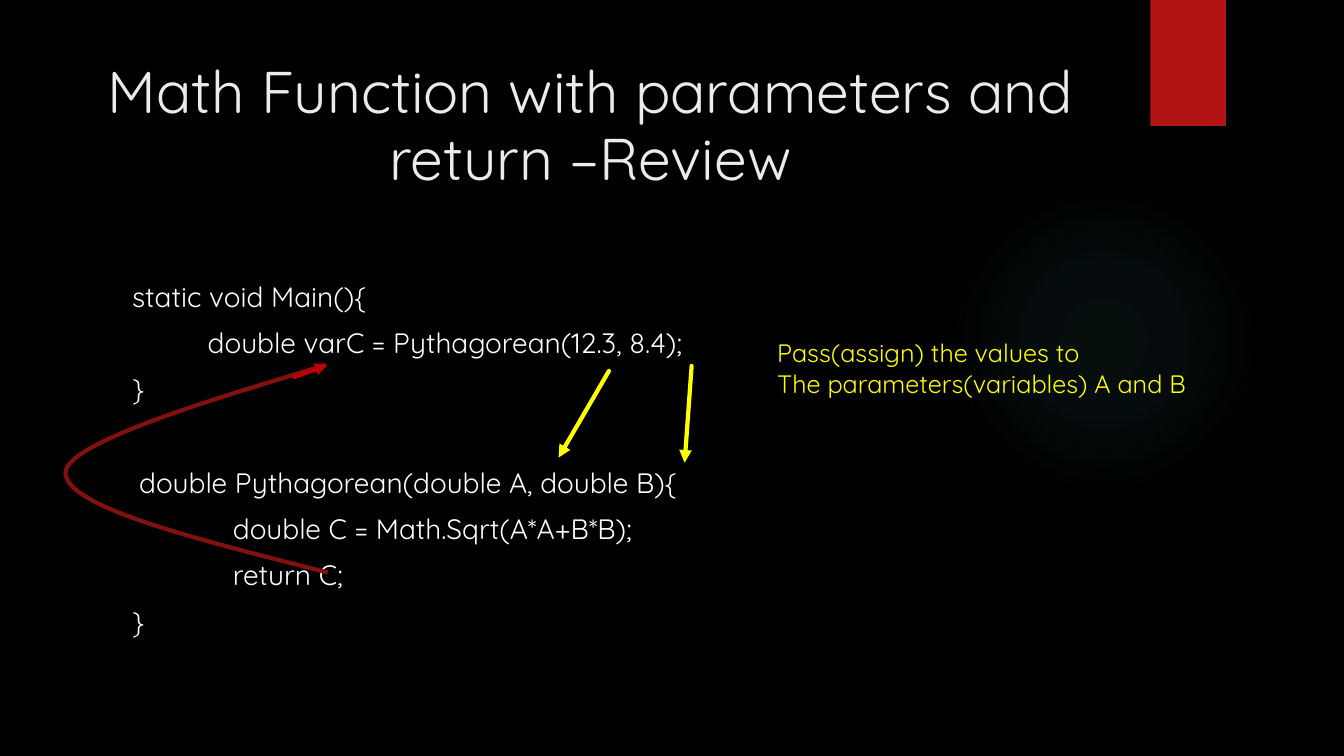
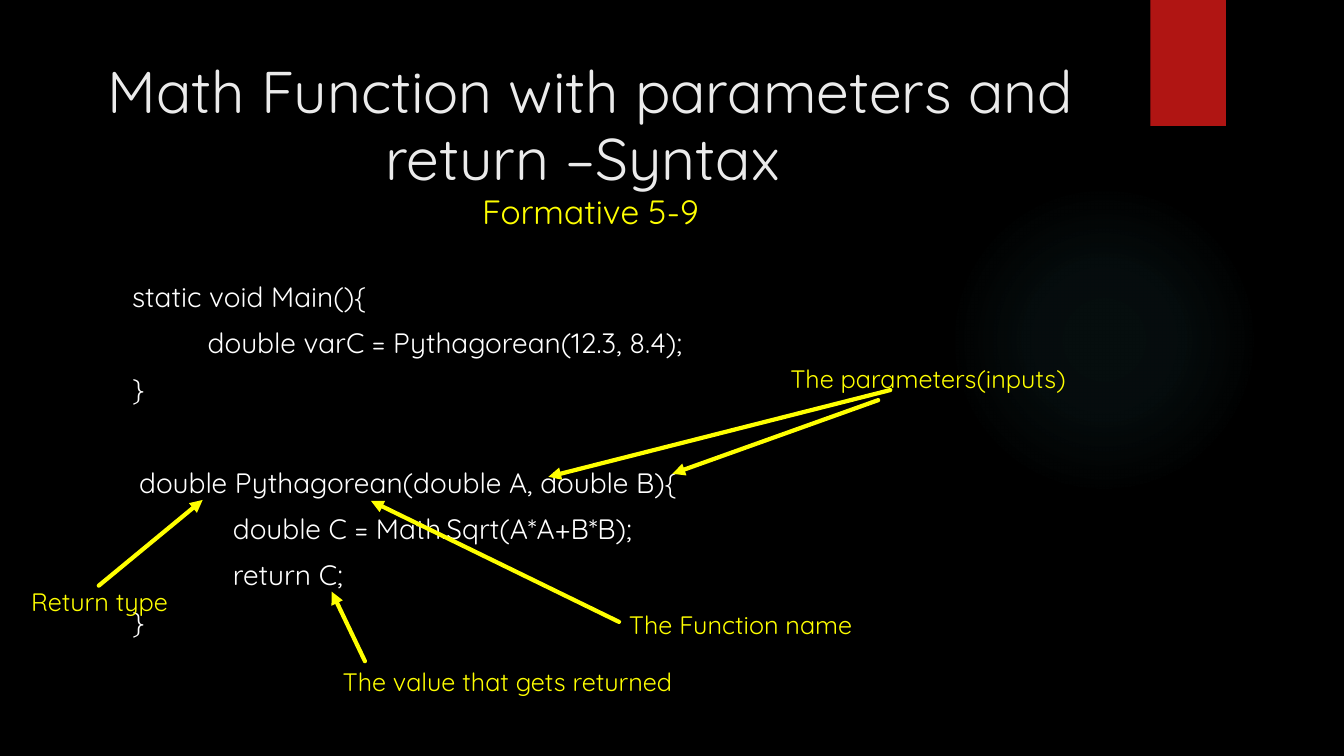
from lxml import etree
from pptx import Presentation
from pptx.dml.color import RGBColor
from pptx.enum.shapes import MSO_CONNECTOR, MSO_SHAPE
from pptx.enum.text import MSO_ANCHOR, MSO_AUTO_SIZE, PP_ALIGN
from pptx.oxml import parse_xml
from pptx.oxml.ns import nsdecls, qn
from pptx.util import Inches, Pt

COLORS = {"back": "000000", "band": "B01513", "glow": "50B9C1", "title": "EBEBEB",
          "code": "FFFFFF", "note": "FFFF00", "curve": "82100E", "tip": "C00000"}
FONT = "Quicksand"
LINE_WIDTH = 3

# Shared code listing: (text, left indent in inches, blank lines before)
CODE = [
    ("static void Main(){", 0, 0),
    ("double varC = Pythagorean(12.3, 8.4);", 0.75, 0),
    ("}", 0, 0),
    ("double Pythagorean(double A, double B){", 0.07, 1),
    ("double C = Math.Sqrt(A*A+B*B);", 1, 0),
    ("return C;", 1, 0),
    ("}", 0, 0),
]
CODE_GAP, CODE_PITCH = 9, 34

# Content: title lines (text, size, color), notes (left, top, width, lines),
# arrows (start, end, color) and curves (start point, then Bezier segments)
SLIDES = [
    {
        "title": [("Math Function with parameters and return –Review", 42, "title")],
        "notes": [(7.61, 3.3, 4.8, ["Pass(assign) the values to",
                                    "The parameters(variables) A and B"])],
        "curves": [((3.25, 5.68), [((1.95, 5.35), (0.65, 5.03), (0.65, 4.69)),
                                   ((0.64, 4.35), (2.72, 3.79), (3.23, 3.62))])],
        "arrows": [((6.04, 3.68), (5.54, 4.54), "note"),
                   ((6.86, 3.63), (6.79, 4.59), "note"),
                   ((2.92, 3.74), (3.25, 3.62), "tip")],
    },
    {
        "title": [("Math Function with parameters and return –Syntax ", 42, "title"),
                  ("Formative 5-9", 24, "note")],
        "notes": [(7.74, 3.55, 3.4, ["The parameters(inputs)"]),
                  (0.21, 5.77, 1.81, ["Return type"]),
                  (6.14, 6, 3, ["The Function name"]),
                  (3.3, 6.56, 4, ["The value that gets returned"])],
        "curves": [],
        "arrows": [((8.83, 3.87), (5.44, 4.73), "note"),
                   ((8.71, 3.97), (6.67, 4.7), "note"),
                   ((0.98, 5.81), (2.01, 4.96), "note"),
                   ((6.14, 6.17), (3.68, 4.97), "note"),
                   ((3.62, 6.56), (3.29, 5.87), "note")],
    },
]


def color(name):
    return RGBColor.from_string(COLORS[name])


def apply(target, **values):
    for name, value in values.items():
        setattr(target, name, value)


def place(box, left, top, width, height):
    apply(box, left=Inches(left), top=Inches(top),
          width=Inches(width), height=Inches(height))


def add_span(para, text, size, shade):
    span = para.add_run()
    span.text = text
    apply(span.font, name=FONT, size=Pt(size))
    span.font.color.rgb = color(shade)


def prepare_frame(box):
    frame = box.text_frame
    apply(frame, word_wrap=True, auto_size=MSO_AUTO_SIZE.NONE,
          vertical_anchor=MSO_ANCHOR.TOP)
    return frame


def next_para(frame, index):
    return frame.add_paragraph() if index else frame.paragraphs[0]


def style_line(line, shade):
    line.color.rgb = color(shade)
    line.width = Pt(LINE_WIDTH)


# Shared layout: background, placeholder positions
def prepare_layout(deck):
    layout = deck.slide_layouts[1]
    fill = deck.slide_master.background.fill
    fill.solid()
    fill.fore_color.rgb = color("back")
    for box in list(layout.placeholders):
        index = box.placeholder_format.idx
        if index == 0:
            place(box, 0.71, 0.54, 10.29, 1.53)
        elif index == 1:
            place(box, 1.21, 2.72, 9.78, 4.12)
        else:
            box.element.getparent().remove(box.element)
    return layout


# Glow and red band, made on a page and then moved into its layout
def decorate_layout(layout, page):
    shapes = []
    for preset, area in [(MSO_SHAPE.OVAL, (9.41, 1.83, 3.08, 3.08)),
                         (MSO_SHAPE.RECTANGLE, (11.41, 0, 0.75, 1.25))]:
        shape = page.shapes.add_shape(preset, *map(Inches, area))
        shape.shadow.inherit = False
        shape.line.fill.background()
        shapes.append(shape)
    glow, band = shapes
    band.fill.solid()
    band.fill.fore_color.rgb = color("band")

    stops = "".join(
        f'<a:gs pos="{share * 1000}"><a:srgbClr val="{COLORS["glow"]}">'
        f'<a:alpha val="{alpha * 1000}"/></a:srgbClr></a:gs>'
        for share, alpha in [(0, 7), (36, 6), (69, 0), (100, 0)])
    gradient = parse_xml(
        f'<a:gradFill {nsdecls("a")}><a:gsLst>{stops}</a:gsLst><a:path path="circle">'
        '<a:fillToRect l="50000" t="50000" r="50000" b="50000"/></a:path></a:gradFill>')
    glow.fill.background()
    properties = glow.element.spPr
    properties.replace(properties.find(qn("a:noFill")), gradient)
    for position, shape in enumerate(shapes, start=2):
        layout.shapes.element.insert(position, shape.element)


def fill_title(page, lines):
    para = prepare_frame(page.shapes.title).paragraphs[0]
    apply(para, alignment=PP_ALIGN.CENTER, line_spacing=0.95)
    for index, line in enumerate(lines):
        if index:
            para.add_line_break()
        add_span(para, *line)


def fill_code(page):
    frame = prepare_frame(page.placeholders[1])
    for index, (text, indent, blanks) in enumerate(CODE):
        para = next_para(frame, index)
        para.space_before = Pt(CODE_GAP + blanks * CODE_PITCH if index else 0)
        properties = para._p.get_or_add_pPr()
        properties.set("marL", str(Inches(indent)))
        properties.set("indent", "0")
        etree.SubElement(properties, qn("a:buNone"))
        add_span(para, text, 20, "code")


def add_note(page, left, top, width, lines):
    height = 0.1 + 0.31 * len(lines)
    box = page.shapes.add_textbox(*map(Inches, (left, top, width, height)))
    frame = prepare_frame(box)
    for index, text in enumerate(lines):
        add_span(next_para(frame, index), text, 18, "note")


def add_arrow(page, start, end, shade):
    arrow = page.shapes.add_connector(MSO_CONNECTOR.STRAIGHT,
                                      *map(Inches, (*start, *end)))
    style_line(arrow.line, shade)
    stroke = arrow.line._get_or_add_ln()
    stroke.set("cap", "rnd")
    etree.SubElement(stroke, qn("a:tailEnd"), type="triangle")
    etree.SubElement(arrow.element.spPr, qn("a:effectLst"))


def bezier_points(start, segments, steps=24):
    for first, second, end in segments:
        for step in range(1, steps + 1):
            t = step / steps
            weights = ((1 - t) ** 3, 3 * t * (1 - t) ** 2, 3 * t * t * (1 - t), t ** 3)
            corners = (start, first, second, end)
            yield tuple(Inches(sum(w * corner[axis] for w, corner in zip(weights, corners)))
                        for axis in (0, 1))
        start = end


def add_curve(page, start, segments):
    builder = page.shapes.build_freeform(*map(Inches, start))
    builder.add_line_segments(list(bezier_points(start, segments)), close=False)
    curve = builder.convert_to_shape()
    curve.shadow.inherit = False
    curve.fill.background()
    style_line(curve.line, "curve")


def main():
    deck = Presentation()
    apply(deck, slide_width=Inches(13.33), slide_height=Inches(7.5))
    layout = prepare_layout(deck)
    for number, content in enumerate(SLIDES):
        page = deck.slides.add_slide(layout)
        if number == 0:
            decorate_layout(layout, page)
        fill_title(page, content["title"])
        fill_code(page)
        for note in content["notes"]:
            add_note(page, *note)
        for curve in content["curves"]:
            add_curve(page, *curve)
        for arrow in content["arrows"]:
            add_arrow(page, *arrow)
    deck.save("out.pptx")


if __name__ == "__main__":
    main()
